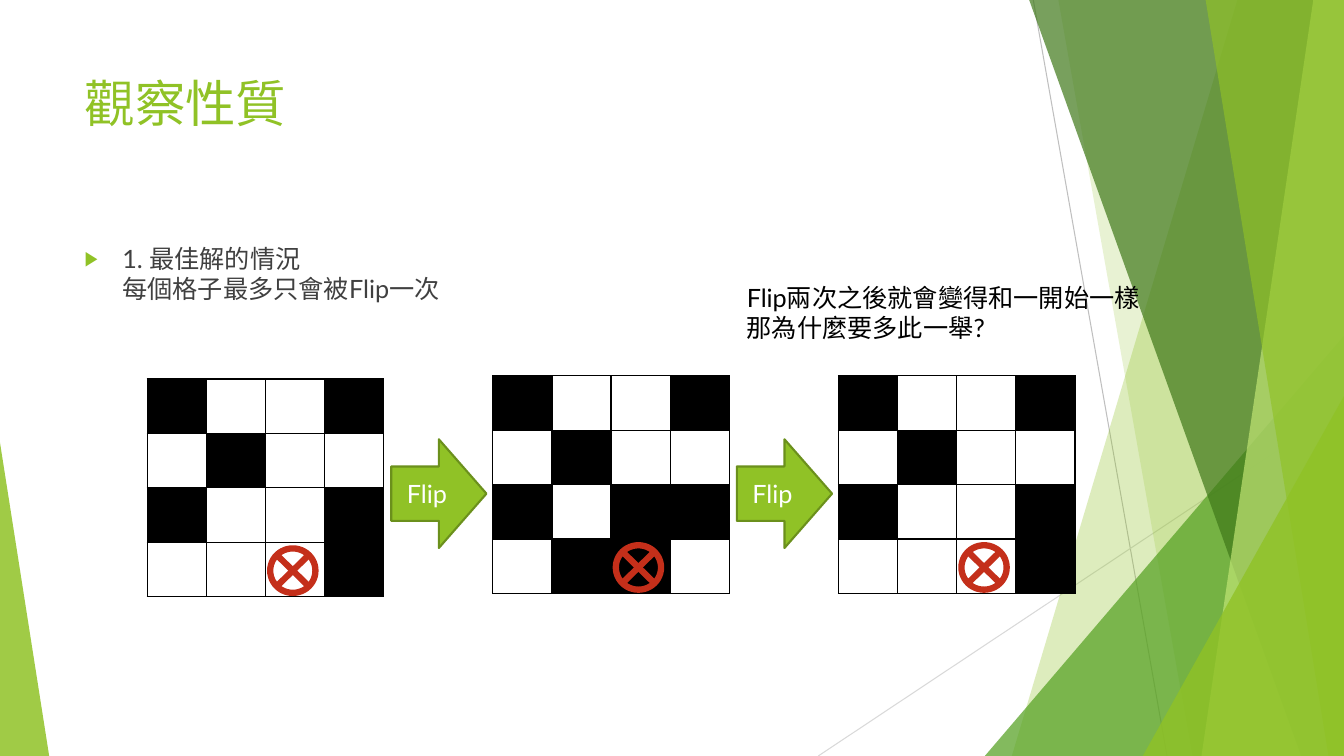
from dataclasses import dataclass

from lxml.etree import SubElement
from pptx import Presentation
from pptx.dml.color import RGBColor
from pptx.enum.shapes import MSO_CONNECTOR, MSO_SHAPE
from pptx.enum.text import MSO_ANCHOR, MSO_AUTO_SIZE, PP_ALIGN
from pptx.oxml.ns import qn
from pptx.util import Cm, Pt


@dataclass(frozen=True)
class Theme:
    font: str = "Lato"
    title_size: int = 36
    text_size: int = 18
    green: str = "90C226"
    middle_green: str = "54A021"
    dark_green: str = "3F7819"
    light_green: str = "C0E474"
    arrow_edge: str = "6B901C"
    red: str = "C42F1A"
    body: str = "404040"
    black: str = "000000"
    white: str = "FFFFFF"
    gray: str = "BFBFBF"
    light_gray: str = "D9D9D9"


THEME = Theme()
WIDTH, HEIGHT = 33.87, 19.05

# Boards: "#" is a black cell, "." a white one
START_BOARD = ("#..#", ".#..", "#..#", "...#")
FLIPPED_BOARD = ("#..#", ".#..", "#.##", ".##.")
BOARD_LEFT, BOARD_STEP = 3.71, 8.71
CELL_WIDTH, CELL_HEIGHT = 1.49, 1.37


def color(value):
    return RGBColor.from_string(value)


def format_text(text_frame, size, text_color):
    for paragraph in text_frame.paragraphs:
        for run in paragraph.runs:
            run.font.name = THEME.font
            run.font.size = Pt(size)
            run.font.color.rgb = color(text_color)


def place(shape, left, top, width, height):
    shape.left, shape.top = Cm(left), Cm(top)
    shape.width, shape.height = Cm(width), Cm(height)


# Backdrop
def paint_facet(shape, fill_color, opacity):
    shape.shadow.inherit = False
    shape.fill.solid()
    shape.fill.fore_color.rgb = color(fill_color)
    shape.line.fill.background()
    solid_color = shape.element.spPr.find(qn("a:solidFill"))[0]
    SubElement(solid_color, qn("a:alpha"), val=str(opacity * 1000))


def add_facet(slide, top_x, bottom_x, fill_color, opacity):
    top = Cm(-0.02)
    builder = slide.shapes.build_freeform(Cm(top_x), top)
    builder.add_line_segments(
        [(Cm(WIDTH), top), (Cm(WIDTH), Cm(HEIGHT)), (Cm(bottom_x), Cm(HEIGHT))],
        close=True)
    paint_facet(builder.convert_to_shape(), fill_color, opacity)


def add_corner(slide, left, top, width, apex, fill_color, opacity):
    shape = slide.shapes.add_shape(
        MSO_SHAPE.ISOSCELES_TRIANGLE,
        Cm(left), Cm(top), Cm(width), Cm(HEIGHT - top))
    shape.adjustments[0] = apex
    paint_facet(shape, fill_color, opacity)


def add_thin_line(slide, start_x, start_y, end_x, line_color):
    connector = slide.shapes.add_connector(
        MSO_CONNECTOR.STRAIGHT,
        Cm(start_x), Cm(start_y), Cm(end_x), Cm(HEIGHT))
    connector.line.color.rgb = color(line_color)
    connector.line.width = Pt(0.75)
    SubElement(connector.element.spPr, qn("a:effectLst"))


def add_backdrop(slide):
    add_thin_line(slide, 26.04, 0, 29.41, THEME.gray)
    add_thin_line(slide, WIDTH, 10.24, 20.62, THEME.light_gray)
    add_facet(slide, 31.19, 25.5, THEME.green, 30)
    add_facet(slide, 26.67, 30.05, THEME.green, 20)
    add_corner(slide, 24.82, 8.46, 9.05, 1, THEME.middle_green, 72)
    add_facet(slide, 25.93, 32.79, THEME.dark_green, 70)
    add_facet(slide, 33.1, 30.28, THEME.light_green, 70)
    add_facet(slide, 30.38, 33.48, THEME.green, 65)
    add_corner(slide, 28.8, 9.98, 5.07, 1, THEME.green, 80)
    add_corner(slide, 0, 11.15, 1.24, 0, THEME.green, 85)


# Title and list
def fill_placeholder(shape, text, size, text_color):
    text_frame = shape.text_frame
    text_frame.text = text
    text_frame.auto_size = MSO_AUTO_SIZE.NONE
    text_frame.vertical_anchor = MSO_ANCHOR.TOP
    text_frame.paragraphs[0].alignment = PP_ALIGN.LEFT
    format_text(text_frame, size, text_color)
    # Bring the text in front of the backdrop
    shape.element.getparent().append(shape.element)


def add_bullet(paragraph):
    paragraph.space_before = Pt(10)
    properties = paragraph._p.get_or_add_pPr()
    properties.set("marL", str(Cm(0.95)))
    properties.set("indent", str(-Cm(0.95)))
    bullet_color = SubElement(properties, qn("a:buClr"))
    SubElement(bullet_color, qn("a:srgbClr"), val=THEME.green)
    SubElement(properties, qn("a:buSzPct"), val="80000")
    SubElement(properties, qn("a:buChar"), char="▶")


# Boards
def add_cell_borders(cell):
    properties = cell._tc.get_or_add_tcPr()
    for side in ("lnL", "lnR", "lnT", "lnB"):
        border = SubElement(properties, qn(f"a:{side}"), w=str(Pt(1)))
        fill = SubElement(border, qn("a:solidFill"))
        SubElement(fill, qn("a:srgbClr"), val=THEME.black)


def add_board(slide, board, left, top):
    rows, columns = len(board), len(board[0])
    table = slide.shapes.add_table(
        rows, columns, Cm(left), Cm(top),
        Cm(columns * CELL_WIDTH), Cm(rows * CELL_HEIGHT)).table
    table.first_row = table.horz_banding = False
    for row, marks in enumerate(board):
        for column, mark in enumerate(marks):
            cell = table.cell(row, column)
            add_cell_borders(cell)
            cell.fill.solid()
            cell.fill.fore_color.rgb = color(
                THEME.black if mark == "#" else THEME.white)


def add_flip_mark(slide, left, top):
    mark = slide.shapes.add_shape(
        MSO_SHAPE.FLOWCHART_SUMMING_JUNCTION,
        Cm(left), Cm(top), Cm(1.14), Cm(1.12))
    mark.shadow.inherit = False
    mark.fill.background()
    mark.line.color.rgb = color(THEME.red)
    mark.line.width = Pt(4.5)


def add_flip_arrow(slide, left):
    arrow = slide.shapes.add_shape(
        MSO_SHAPE.RIGHT_ARROW, Cm(left), Cm(11.07), Cm(2.4), Cm(2.74))
    arrow.shadow.inherit = False
    arrow.fill.solid()
    arrow.fill.fore_color.rgb = color(THEME.green)
    arrow.line.color.rgb = color(THEME.arrow_edge)
    arrow.line.width = Pt(1.5)
    arrow.text_frame.text = "Flip"
    arrow.text_frame.vertical_anchor = MSO_ANCHOR.MIDDLE
    arrow.text_frame.paragraphs[0].alignment = PP_ALIGN.CENTER
    format_text(arrow.text_frame, THEME.text_size, THEME.white)


def add_remark(slide, text):
    text_frame = slide.shapes.add_textbox(
        Cm(18.57), Cm(6.99), Cm(10.57), Cm(1.8)).text_frame
    text_frame.text = text
    text_frame.word_wrap = False
    text_frame.auto_size = MSO_AUTO_SIZE.SHAPE_TO_FIT_TEXT
    format_text(text_frame, THEME.text_size, THEME.black)


def main():
    presentation = Presentation()
    presentation.slide_width, presentation.slide_height = Cm(WIDTH), Cm(HEIGHT)
    slide = presentation.slides.add_slide(presentation.slide_layouts[1])
    add_backdrop(slide)

    title, body = slide.shapes.title, slide.placeholders[1]
    place(title, 1.88, 1.7, 23.88, 3.66)
    fill_placeholder(title, "觀察性質", THEME.title_size, THEME.green)
    place(body, 1.88, 6, 23.88, 10.77)
    fill_placeholder(body, "1. 最佳解的情況\v每個格子最多只會被Flip一次",
                     THEME.text_size, THEME.body)
    add_bullet(body.text_frame.paragraphs[0])

    boards = (START_BOARD, FLIPPED_BOARD, START_BOARD)
    for index, (board, top) in enumerate(zip(boards, (9.55, 9.47, 9.47))):
        left = BOARD_LEFT + index * BOARD_STEP
        add_board(slide, board, left, top)
        add_flip_mark(slide, left + 3.1, top + 4.27)
        if index < len(boards) - 1:
            add_flip_arrow(slide, left + 6.15)

    add_remark(slide, "Flip兩次之後就會變得和一開始一樣\n那為什麼要多此一舉?")
    presentation.save("out.pptx")


if __name__ == "__main__":
    main()
